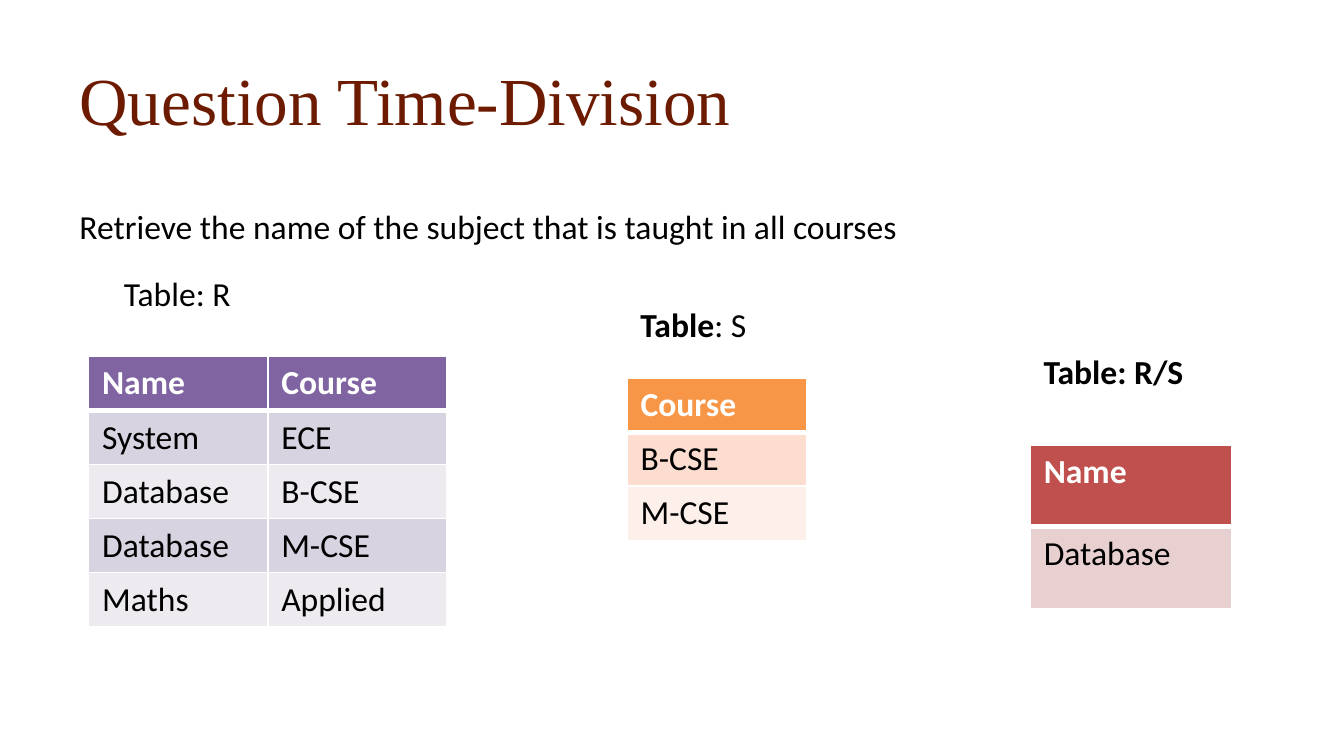
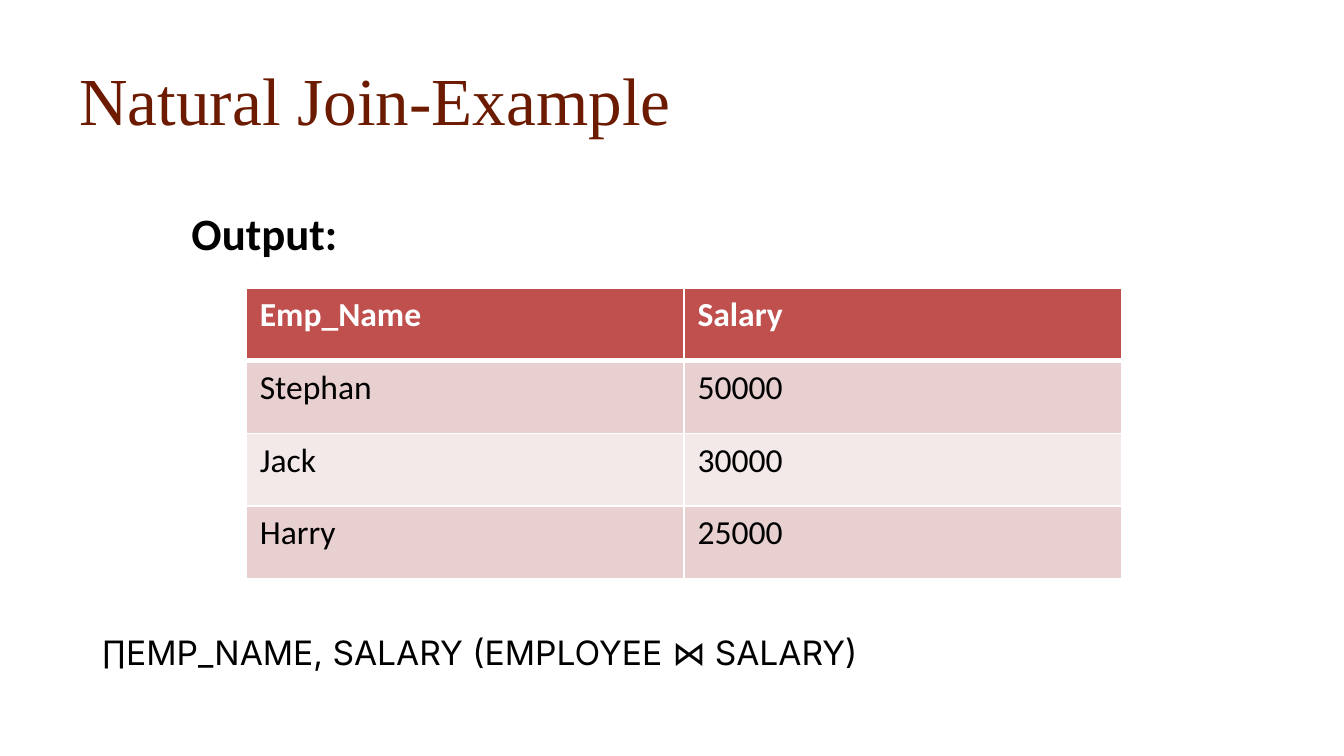
from lxml.etree import SubElement
from pptx import Presentation
from pptx.dml.color import RGBColor
from pptx.enum.text import MSO_ANCHOR as Anchor, PP_ALIGN as Align
from pptx.oxml.ns import qn
from pptx.util import Pt

WHITE, BLACK, BROWN = "FFFFFF", "000000", "6C1A00"
PURPLE = ("8064A2", "D8D3E0", "EDEAF0")
ORANGE = ("F79646", "FCDDCF", "FDEFE9")
RED = ("C0504D", "E8D0D0", "F4E9E9")
BODY = {"name": "Calibri", "size": Pt(18), "bold": False}
STRONG = {**BODY, "bold": True}
HEADING = {**STRONG, "size": Pt(24)}
TITLE = {**BODY, "name": "Times New Roman", "size": Pt(36)}
FORMULA = {**BODY, "name": "Inter"}


def color(value):
    return RGBColor.from_string(value)


def add_span(para, text, style, ink=BLACK):
    span = para.add_run()
    span.text = text
    for name, value in style.items():
        setattr(span.font, name, value)
    span.font.color.rgb = color(ink)


def add_text(page, place, spans, ink=BLACK, anchor=Anchor.TOP, align=Align.LEFT):
    frame = page.shapes.add_textbox(*map(Pt, place)).text_frame
    frame.word_wrap = True
    frame.vertical_anchor = anchor
    para = frame.paragraphs[0]
    para.alignment = align
    for text, style in spans:
        add_span(para, text, style, ink)


def set_borders(cell, row_index):
    widths = {
        "L": 1,
        "R": 1,
        "T": 3 if row_index == 1 else 1,
        "B": 3 if row_index == 0 else 1,
    }
    properties = cell._tc.get_or_add_tcPr()
    for side, width in widths.items():
        line = SubElement(properties, qn(f"a:ln{side}"), w=str(Pt(width)))
        fill = SubElement(line, qn("a:solidFill"))
        SubElement(fill, qn("a:srgbClr"), val=WHITE)


def add_grid(page, left, top, column_width, row_height, palette, rows):
    header, *bands = palette
    size = len(rows), len(rows[0])
    place = left, top, column_width * size[1], row_height * size[0]
    table = page.shapes.add_table(*size, *map(Pt, place)).table
    for column in table.columns:
        column.width = Pt(column_width)
    for row_index, values in enumerate(rows):
        table.rows[row_index].height = Pt(row_height)
        is_header = row_index == 0
        shade = header if is_header else bands[(row_index - 1) % 2]
        for column_index, value in enumerate(values):
            cell = table.cell(row_index, column_index)
            set_borders(cell, row_index)
            cell.fill.solid()
            cell.fill.fore_color.rgb = color(shade)
            add_span(
                cell.text_frame.paragraphs[0],
                value,
                STRONG if is_header else BODY,
                WHITE if is_header else BLACK,
            )


def add_page(deck, title):
    page = deck.slides.add_slide(deck.slide_layouts[6])
    add_text(page, (35.5, 22.5, 649, 60.5), [(title, TITLE)], BROWN, Anchor.MIDDLE)
    return page


def build_division(deck):
    page = add_page(deck, "Question Time-Division")
    add_grid(page, 47.5, 190.8, 96, 29, PURPLE, [
        ("Name", "Course"),
        ("System", "ECE"),
        ("Database", "B-CSE"),
        ("Database", "M-CSE"),
        ("Maths", "Applied"),
    ])
    add_grid(page, 336, 202.5, 96, 29, ORANGE, [("Course",), ("B-CSE",), ("M-CSE",)])
    add_grid(page, 552, 238.5, 108, 43.8, RED, [("Name",), ("Database",)])
    question = "Retrieve the name of the subject that is taught in all courses"
    add_text(page, (35.5, 106.5, 577.5, 29), [(question, BODY)])
    add_text(page, (59.3, 142.5, 74, 29), [("Table: R", BODY)])
    add_text(page, (336, 159.3, 74, 29), [("Table", STRONG), (": S", BODY)])
    add_text(page, (552, 184.3, 108, 29), [("Table: R/S", STRONG)])


def build_join(deck):
    page = add_page(deck, "Natural Join-Example")
    add_grid(page, 132, 154.3, 234.5, 39, RED, [
        ("Emp_Name", "Salary"),
        ("Stephan", "50000"),
        ("Jack", "30000"),
        ("Harry", "25000"),
    ])
    add_text(page, (95.5, 106.5, 120, 36), [("Output:", HEADING)])
    formula = "∏EMP_NAME, SALARY (EMPLOYEE ⋈ SALARY)"
    add_text(page, (47.5, 335, 493, 29), [(formula, FORMULA)], align=Align.JUSTIFY)


def main():
    deck = Presentation()
    deck.slide_width, deck.slide_height = Pt(720), Pt(405)
    build_division(deck)
    build_join(deck)
    deck.save("out.pptx")


if __name__ == "__main__":
    main()
